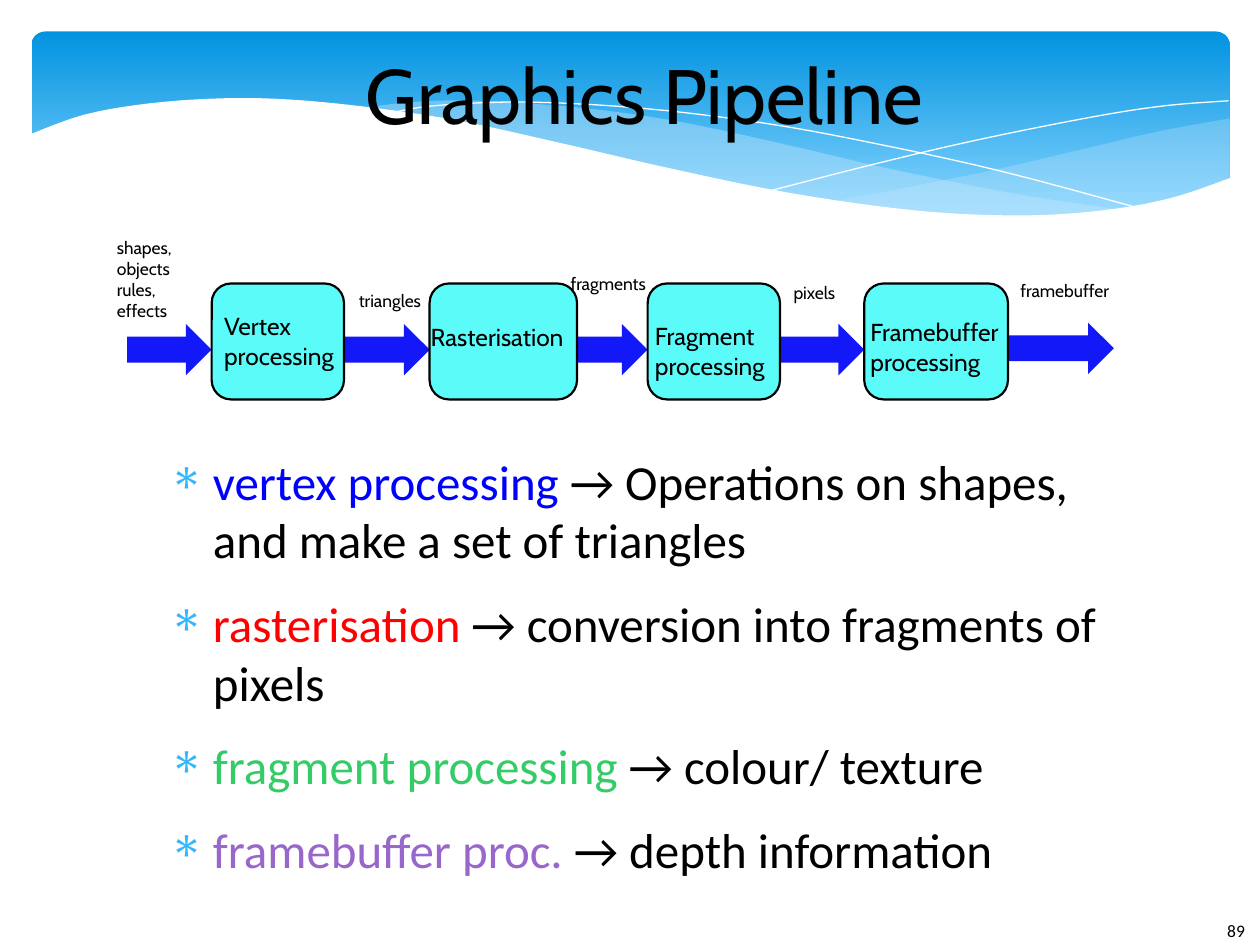
from lxml.etree import SubElement
from pptx import Presentation
from pptx.dml.color import RGBColor
from pptx.enum.shapes import MSO_SHAPE
from pptx.enum.text import MSO_ANCHOR, PP_ALIGN
from pptx.oxml.ns import qn
from pptx.util import Inches, Pt

BLACK, WHITE, HAZE = "000000", "FFFFFF", "C6E7FC"
BLUE, CYAN, BULLET = "1318F9", "5AFBF8", "31B6FD"

RIGHT = [(9.76, 0.94), (9.21, 1.04), (8.61, 1.18), (7.79, 1.37), (6.61, 1.6)]
RIGHT_LOW = [(6.61, 1.6), (7.19, 1.67), (7.92, 1.72), (8.54, 1.7),
             (9.05, 1.63), (9.42, 1.54), (9.76, 1.41)]
MID = [(8.93, 1.67), (8.07, 1.54), (7.06, 1.34), (6.29, 1.16), (5.41, 0.97),
       (4.65, 0.86), (3.8, 0.8), (3.28, 0.81), (2.86, 0.86)]
MID_LOW = [(2.86, 0.86), (3.62, 0.97), (4.49, 1.16), (5.66, 1.43), (6.5, 1.58),
           (7.22, 1.68), (7.96, 1.73), (8.48, 1.72), (8.93, 1.67)]
FALL = [(3.09, 0.9), (3.44, 0.84), (4.16, 0.81), (5.1, 0.86), (6.08, 0.98),
        (6.95, 1.14), (7.95, 1.36), (9.07, 1.66)]
RISE = [(6.13, 1.51), (6.95, 1.3), (7.76, 1.11), (8.66, 0.93), (9.24, 0.84), (9.75, 0.8)]
WAVE = [(9.77, 1.41), (9.3, 1.57), (8.75, 1.67), (8.09, 1.71), (7.26, 1.67),
        (6.26, 1.53), (5.29, 1.33), (4.47, 1.14), (3.65, 0.96), (2.92, 0.85),
        (2.3, 0.79), (1.77, 0.78), (1.19, 0.82), (0.67, 0.91), (0.23, 1.07)]

ARROWS = [(7.59, 2.56, 1.25), (1.01, 2.57, 0.67), (2.74, 2.57, 0.67),
          (4.47, 2.57, 0.67), (6.19, 2.57, 0.67)]
STAGES = [(1.68, 1.05), (3.41, 1.17), (5.14, 1.05), (6.86, 1.14)]
NAMES = [("Vertex processing", 1.68, 2.42, 1.15, 0.57),
         ("Rasterisation", 3.32, 2.51, 1.34, 0.34),
         ("Fragment\nprocessing", 5.1, 2.5, 1.24, 0.57),
         ("Framebuffer\nprocessing", 6.81, 2.47, 1.24, 0.57)]
FLOWS = [("shapes, objects\nrules,\neffects", 0.83, 1.83, 1.03, 0.77),
         ("triangles", 2.75, 2.25, 0.76, 0.27),
         ("fragments", 4.43, 2.12, 0.96, 0.27),
         ("pixels", 6.2, 2.19, 0.96, 0.27),
         ("framebuffer", 8, 2.17, 0.96, 0.27)]
POINTS = [("vertex processing", "0000FF", " → Operations on shapes, and make a set of triangles"),
          ("rasterisation", "FF0000", " → conversion into fragments of pixels"),
          ("fragment processing", "33CC66", " → colour/ texture"),
          ("framebuffer proc.", "9966CC", " → depth information")]


def rgb(code):
    """Turn a hex string into a colour."""
    return RGBColor.from_string(code)


def paint(shape, fill=None, line=None, width=0):
    """Set the fill and outline of a shape and drop its shadow."""
    shape.shadow.inherit = False
    if fill:
        shape.fill.solid()
        shape.fill.fore_color.rgb = rgb(fill)
    else:
        shape.fill.background()
    if line:
        shape.line.color.rgb = rgb(line)
        shape.line.width = Pt(width)
    else:
        shape.line.fill.background()


def block(slide, kind, box, fill, line=None, width=0):
    """Add a painted preset shape."""
    shape = slide.shapes.add_shape(kind, *map(Inches, box))
    paint(shape, fill, line, width)
    return shape


def smooth(knots, steps=5):
    """Sample a Catmull-Rom curve through the knots."""
    ends = [knots[0], *knots, knots[-1]]
    curve = [knots[0]]
    for a, b, c, d in zip(ends, ends[1:], ends[2:], ends[3:]):
        for i in range(1, steps + 1):
            t = i / steps
            curve.append(tuple(
                q + t / 2 * (r - p + t * (2 * p - 5 * q + 4 * r - s + t * (3 * (q - r) + s - p)))
                for p, q, r, s in zip(a, b, c, d)))
    return curve


def outline(slide, dots, fill=None, line=None, alpha=100):
    """Add a closed filled area or an open hairline."""
    ends = [(Inches(x), Inches(y)) for x, y in dots]
    pen = slide.shapes.build_freeform(*ends[0])
    pen.add_line_segments(ends[1:], close=fill is not None)
    shape = pen.convert_to_shape()
    paint(shape, fill, line)
    if alpha < 100:
        tint = shape._element.spPr.find(qn("a:solidFill")).find(qn("a:srgbClr"))
        SubElement(tint, qn("a:alpha"), val=str(alpha * 1000))


def style(run, size, font, color=BLACK):
    """Set the font of a run."""
    run.font.size, run.font.name = Pt(size), font
    run.font.color.rgb = rgb(color)


def frame(slide, box, bare=False):
    """Add a wrapping text box, bare of margins if asked."""
    area = slide.shapes.add_textbox(*map(Inches, box)).text_frame
    area.word_wrap = True
    if bare:
        area.margin_left = area.margin_right = area.margin_top = area.margin_bottom = 0
    return area


def label(slide, text, box, size, font="Cabin", bare=False):
    """Add text in one style."""
    area = frame(slide, box, bare)
    area.text = text
    for para in area.paragraphs:
        style(para.runs[0], size, font)
    return area


def bullet(para):
    """Give a paragraph a coloured asterisk and a hanging indent."""
    props = para._p.get_or_add_pPr()
    props.set("marL", str(Inches(0.47)))
    props.set("indent", str(Inches(-0.35)))
    para.space_after = Pt(14.1)
    SubElement(SubElement(props, qn("a:buClr")), qn("a:srgbClr"), val=BULLET)
    SubElement(props, qn("a:buChar"), char="∗")


def banner(slide):
    """Draw the blue band with its waves."""
    band = block(slide, MSO_SHAPE.ROUNDED_RECTANGLE, (0.25, 0.25, 9.51, 1.56), BLUE)
    band.adjustments[0] = 0.07
    band.fill.gradient()
    band.fill.gradient_angle = 270
    for stop, code, place in zip(band.fill.gradient_stops, ("0293E0", "83D3FE"), (0, 0.9)):
        stop.color.rgb, stop.position = rgb(code), place
    outline(slide, smooth(RIGHT) + smooth(RIGHT_LOW), HAZE, alpha=29)
    outline(slide, smooth(MID) + smooth(MID_LOW), HAZE, alpha=40)
    for curve in (FALL, RISE):
        outline(slide, smooth(curve), line=WHITE)
    outline(slide, smooth(WAVE) + [(0.23, 2.24), (9.77, 2.24)], WHITE)


def flow(slide):
    """Draw the stages, their arrows and the labels."""
    for left, top, width in ARROWS:
        block(slide, MSO_SHAPE.RIGHT_ARROW, (left, top, width, 0.41), BLUE)
    for left, width in STAGES:
        block(slide, MSO_SHAPE.ROUNDED_RECTANGLE, (left, 2.25, width, 0.92), CYAN, BLACK, 1.25)
    for size, group in ((14, NAMES), (10, FLOWS)):
        for text, *box in group:
            label(slide, text, box, size)


def notes(slide):
    """Write the list that explains each stage."""
    area = frame(slide, (1.22, 3.58, 7.61, 3.31), bare=True)
    for i, (term, color, rest) in enumerate(POINTS):
        para = area.add_paragraph() if i else area.paragraphs[0]
        bullet(para)
        for text, code in ((term, color), (rest, BLACK)):
            run = para.add_run()
            run.text = text
            style(run, 28, "Calibri", code)


def main():
    """Build and save the slide."""
    deck = Presentation()
    deck.slide_width, deck.slide_height = Inches(10), Inches(7.5)
    slide = deck.slides.add_slide(deck.slide_layouts[6])
    banner(slide)
    label(slide, "89", (9.74, 7.3, 0.26, 0.2), 10, "Calibri", bare=True)
    title = label(slide, "Graphics Pipeline", (1.06, 0.23, 8.11, 1.02), 44, bare=True)
    title.vertical_anchor = MSO_ANCHOR.MIDDLE
    title.paragraphs[0].alignment = PP_ALIGN.CENTER
    notes(slide)
    flow(slide)
    deck.save("out.pptx")


if __name__ == "__main__":
    main()
